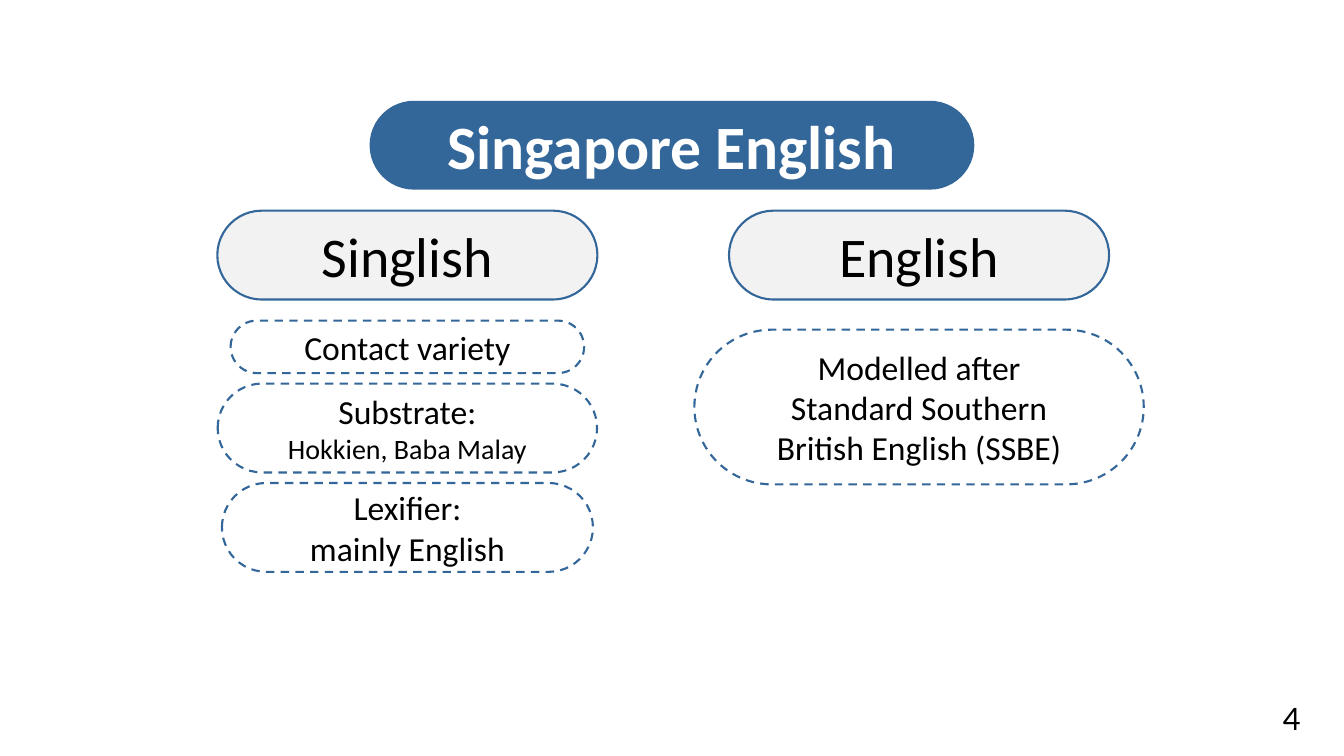
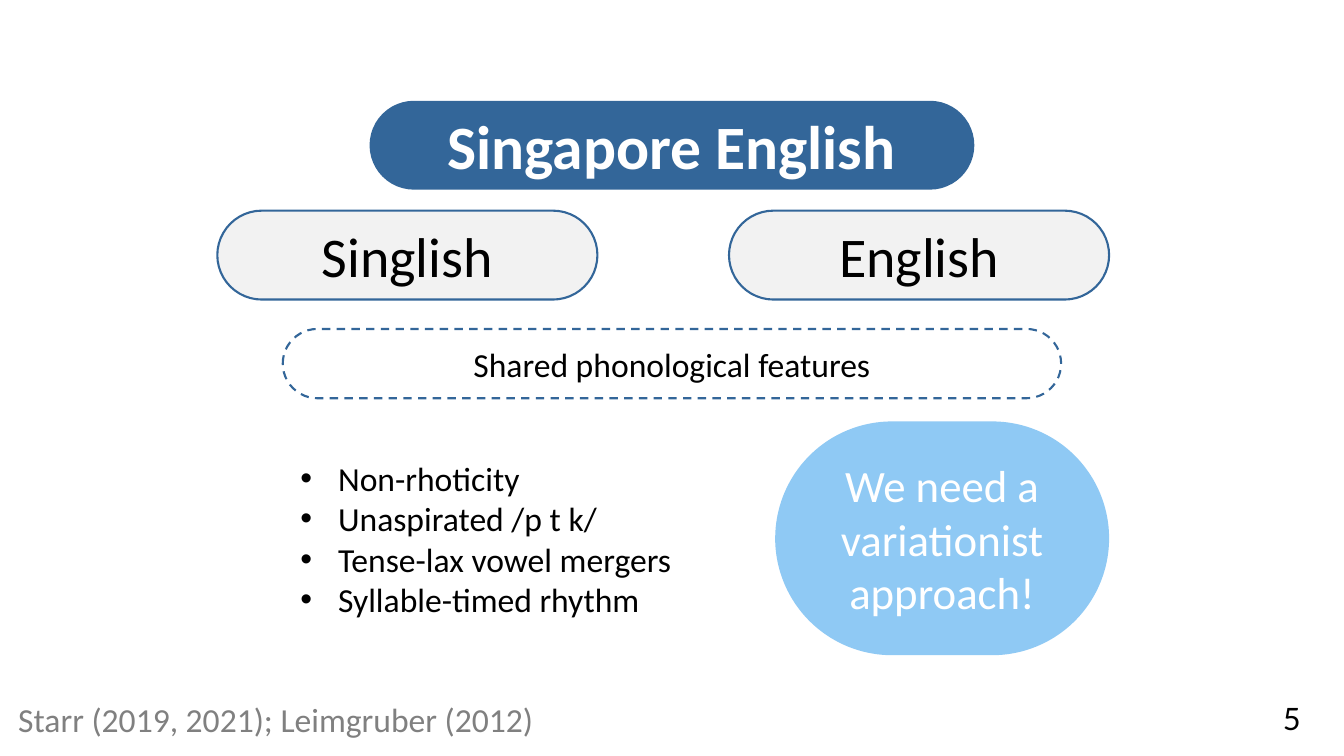
"""Build two slides on the varieties of Singapore English."""
from dataclasses import dataclass

from lxml import etree
from pptx import Presentation
from pptx.dml.color import RGBColor
from pptx.enum import dml, shapes, text
from pptx.oxml import ns
from pptx.util import Pt

BLUE = RGBColor(0x33, 0x66, 0x99)
SKY = RGBColor(0x8F, 0xC9, 0xF4)
PALE = RGBColor(0xF2, 0xF2, 0xF2)
GREY = RGBColor(0x80, 0x80, 0x80)
BLACK = RGBColor(0, 0, 0)
WHITE = RGBColor(0xFF, 0xFF, 0xFF)

SLIDE_WIDTH, SLIDE_HEIGHT = 960, 540
MIDDLE, SINGLISH_X, ENGLISH_X = SLIDE_WIDTH / 2, 291, 656.5
BAND_HEIGHT = 63.5
STACK_TOP, STACK_GAP = 229, 7.5
BULLET_INDENT = 27


@dataclass
class Style:
    """Look of a pill and its text."""
    size: int
    color: RGBColor = BLACK
    fill: RGBColor | None = None
    line: RGBColor | None = None
    dashed: bool = False
    bold: bool = False


TITLE = Style(44, WHITE, fill=BLUE, bold=True)
VARIETY = Style(40, fill=PALE, line=BLUE)
DETAIL = Style(24, line=BLUE, dashed=True)
CALLOUT = Style(32, WHITE, fill=SKY)

HEADER = [
    (TITLE, MIDDLE, 72, 432, BAND_HEIGHT, ["Singapore English"]),
    (VARIETY, SINGLISH_X, 150.5, 271.5, BAND_HEIGHT, ["Singlish"]),
    (VARIETY, ENGLISH_X, 150.5, 271.5, BAND_HEIGHT, ["English"]),
]
SINGLISH_DETAILS = [
    (252.5, 37.5, ["Contact variety"]),
    (271, BAND_HEIGHT, ["Substrate:", ("Hokkien, Baba Malay", 20)]),
    (265, BAND_HEIGHT, ["Lexifier:", "mainly English"]),
]
ENGLISH_DETAIL = (DETAIL, ENGLISH_X, 235.5, 321, 110.5,
                  ["Modelled after", "Standard Southern", "British English (SSBE)"])
SHARED = [
    (DETAIL, MIDDLE, 235, 556, 49.5, ["Shared phonological features"]),
    (CALLOUT, 673, 301, 238.5, 167, ["We need a", "variationist", "approach!"]),
]
FEATURES = ["Non-rhoticity", "Unaspirated /p t k/",
            "Tense-lax vowel mergers", "Syllable-timed rhythm"]
CITATION = "Starr (2019, 2021); Leimgruber (2012)"


def write(frame, lines, size, color, align, font="Calibri", bold=False):
    """Fill a frame with one paragraph per line; a pair sets its own size."""
    for index, line in enumerate(lines):
        words, points = line if isinstance(line, tuple) else (line, size)
        para = frame.paragraphs[0] if index == 0 else frame.add_paragraph()
        para.alignment = align
        span = para.add_run()
        span.text = words
        span.font.name = font
        span.font.size = Pt(points)
        span.font.bold = bold
        span.font.color.rgb = color


def add_pill(page, style, center, top, width, height, lines):
    """Draw a fully rounded box centred on a given x."""
    pill = page.shapes.add_shape(shapes.MSO_SHAPE.ROUNDED_RECTANGLE,
                                 Pt(center - width / 2), Pt(top), Pt(width), Pt(height))
    pill.adjustments[0] = 0.5
    pill.shadow.inherit = False
    if style.fill is None:
        pill.fill.background()
    else:
        pill.fill.solid()
        pill.fill.fore_color.rgb = style.fill
    if style.line is None:
        pill.line.fill.background()
    else:
        pill.line.color.rgb = style.line
        pill.line.width = Pt(1.5)
    if style.dashed:
        pill.line.dash_style = dml.MSO_LINE.DASH
    frame = pill.text_frame
    frame.word_wrap = False
    frame.vertical_anchor = text.MSO_ANCHOR.MIDDLE
    write(frame, lines, style.size, style.color, text.PP_ALIGN.CENTER, bold=style.bold)


def add_text(page, left, top, width, height, lines, size, color=BLACK,
             align=text.PP_ALIGN.LEFT, font="Calibri"):
    """Add a plain text box without insets and return its frame."""
    box = page.shapes.add_textbox(Pt(left), Pt(top), Pt(width), Pt(height))
    frame = box.text_frame
    frame.word_wrap = True
    frame.margin_left = frame.margin_right = frame.margin_top = frame.margin_bottom = 0
    write(frame, lines, size, color, align, font)
    return frame


def add_bullets(frame):
    """Give every paragraph a hanging round bullet."""
    for para in frame.paragraphs:
        props = para._p.get_or_add_pPr()
        props.set("marL", str(Pt(BULLET_INDENT)))
        props.set("indent", str(-Pt(BULLET_INDENT)))
        etree.SubElement(props, ns.qn("a:buFont")).set("typeface", "Arial")
        etree.SubElement(props, ns.qn("a:buChar")).set("char", "•")


def add_page(deck, number):
    """Add a slide with the shared header and its number."""
    page = deck.slides.add_slide(deck.slide_layouts[6])
    for pill in HEADER:
        add_pill(page, *pill)
    add_text(page, 727, 499.5, 202, 27, [str(number)], 22,
             align=text.PP_ALIGN.RIGHT, font="Lato")
    return page


def build_varieties(deck):
    """Describe the two varieties side by side."""
    page = add_page(deck, 4)
    top = STACK_TOP
    for width, height, lines in SINGLISH_DETAILS:
        add_pill(page, DETAIL, SINGLISH_X, top, width, height, lines)
        top += height + STACK_GAP
    add_pill(page, *ENGLISH_DETAIL)


def build_shared(deck):
    """List the features that both varieties share."""
    page = add_page(deck, 5)
    for pill in SHARED:
        add_pill(page, *pill)
    add_bullets(add_text(page, 214.5, 327, 310, 118, FEATURES, 24))
    add_text(page, 13, 499, 480, 30, [CITATION], 24, GREY)


def main():
    """Build and save the deck."""
    deck = Presentation()
    deck.slide_width, deck.slide_height = Pt(SLIDE_WIDTH), Pt(SLIDE_HEIGHT)
    build_varieties(deck)
    build_shared(deck)
    deck.save("out.pptx")


if __name__ == "__main__":
    main()
